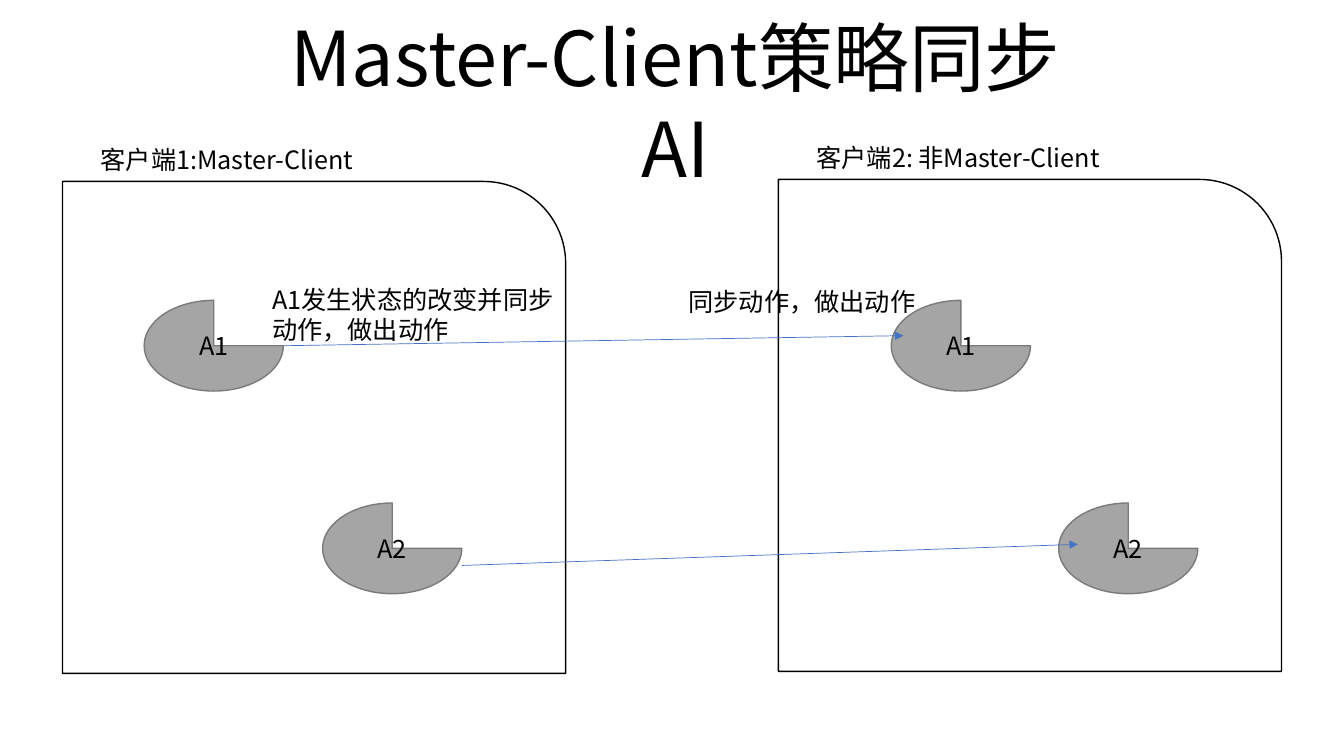
from pptx import Presentation
from pptx.dml.color import RGBColor as RGB
from pptx.enum.shapes import MSO_CONNECTOR as CONN, MSO_SHAPE as SHAPE
from pptx.enum.text import MSO_ANCHOR as ANCHOR, MSO_AUTO_SIZE as FIT, PP_ALIGN as ALIGN
from pptx.oxml.ns import qn
from pptx.util import Inches, Pt
from lxml.etree import SubElement

TITLE = "Master-Client策略同步AI"
CLIENTS = [
    ("客户端1:Master-Client", 0.62, 1.8, 2.99),
    ("客户端2: 非Master-Client", 7.72, 1.78, 3.67),
]
AGENTS = [("A1", 1.43, 2.98), ("A1", 8.84, 2.98), ("A2", 3.2, 4.99), ("A2", 10.5, 4.99)]
SYNCS = [((2.81, 3.43), (8.96, 3.33)), ((4.58, 5.61), (10.69, 5.4))]
ACTIONS = [
    ("A1发生状态的改变并同步动作，做出动作", 2.6, 2.77, 0.71),
    ("同步动作，做出动作", 6.73, 2.79, 0.4),
]

THEME = dict(
    font="Noto Sans CJK SC", title=54, body=18,
    ink=RGB(0, 0, 0), panel=RGB(255, 255, 255), agent=RGB(0xA5, 0xA5, 0xA5),
    edge=RGB(0x7A, 0x7A, 0x7A), arrow=RGB(0x44, 0x72, 0xC4),
)
PANEL_W, PANEL_H = 4.99, 4.88
AGENT_W, AGENT_H = 1.38, 0.9
LABEL_DX, LABEL_DY, LABEL_H = 0.28, 0.42, 0.4
ACTION_W = 2.99

prs = Presentation()
prs.slide_width, prs.slide_height = Inches(13.33), Inches(7.5)
s = prs.slides.add_slide(prs.slide_layouts[5])


def write(sp, text, size, align=ALIGN.LEFT, anchor=ANCHOR.TOP):
    tf = sp.text_frame
    tf.text = text
    tf.word_wrap = True
    tf.auto_size = FIT.NONE
    tf.vertical_anchor = anchor
    p = tf.paragraphs[0]
    p.alignment = align
    p.line_spacing = 1.0
    p.font.size = Pt(size)
    p.font.name = THEME["font"]
    p.font.color.rgb = THEME["ink"]
    r = p.runs[0]
    r.font.name = THEME["font"]
    SubElement(r.font._element, qn("a:ea"), typeface=THEME["font"])


def add_label(text, *box):
    write(s.shapes.add_textbox(*map(Inches, box)), text, THEME["body"])


def add_block(kind, fill, line, *box):
    sp = s.shapes.add_shape(kind, *map(Inches, box))
    sp.shadow.inherit = False
    sp.fill.solid()
    sp.fill.fore_color.rgb = THEME[fill]
    sp.line.color.rgb = THEME[line]
    sp.line.width = Pt(1)
    return sp


def add_arrow(start, end):
    cx = s.shapes.add_connector(CONN.STRAIGHT, *map(Inches, start + end))
    cx.line.color.rgb = THEME["arrow"]
    cx.line.width = Pt(0.5)
    SubElement(cx.line._get_or_add_ln(), qn("a:tailEnd"), type="triangle")
    SubElement(cx._element.spPr, qn("a:effectLst"))


title = s.shapes.title
title.left, title.top, title.width, title.height = map(Inches, (2.52, 0.06, 8.36, 1.01))
write(title, TITLE, THEME["title"], ALIGN.CENTER)

for name, x, y, w in CLIENTS:
    add_block(SHAPE.ROUND_1_RECTANGLE, "panel", "ink", x, y, PANEL_W, PANEL_H)
    add_label(name, x + LABEL_DX, y - LABEL_DY, w, LABEL_H)

for name, x, y in AGENTS:
    sp = add_block(SHAPE.PIE, "agent", "edge", x, y, AGENT_W, AGENT_H)
    write(sp, name, THEME["body"], ALIGN.CENTER, ANCHOR.MIDDLE)

for start, end in SYNCS:
    add_arrow(start, end)

for text, x, y, h in ACTIONS:
    add_label(text, x, y, ACTION_W, h)

prs.save("out.pptx")
